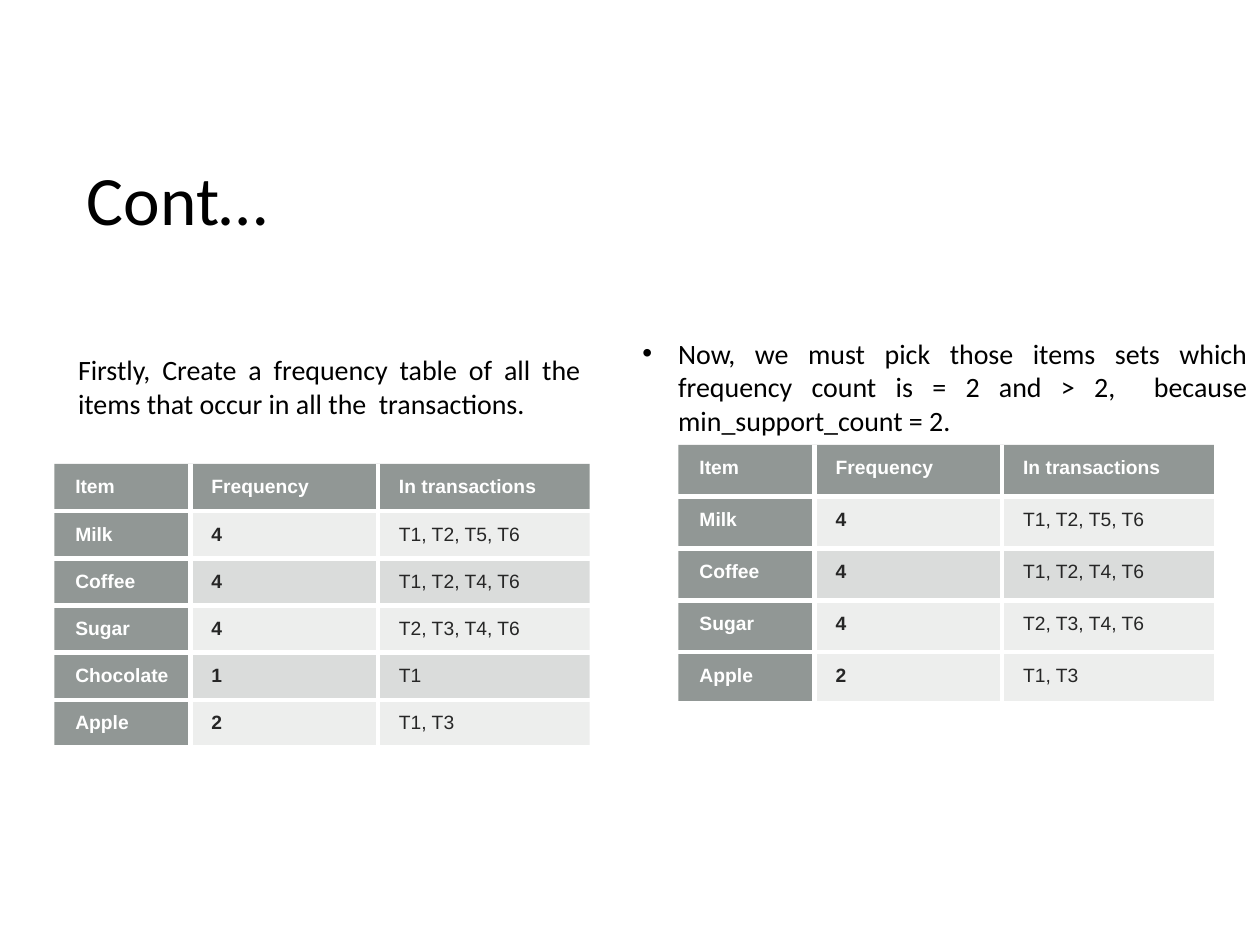
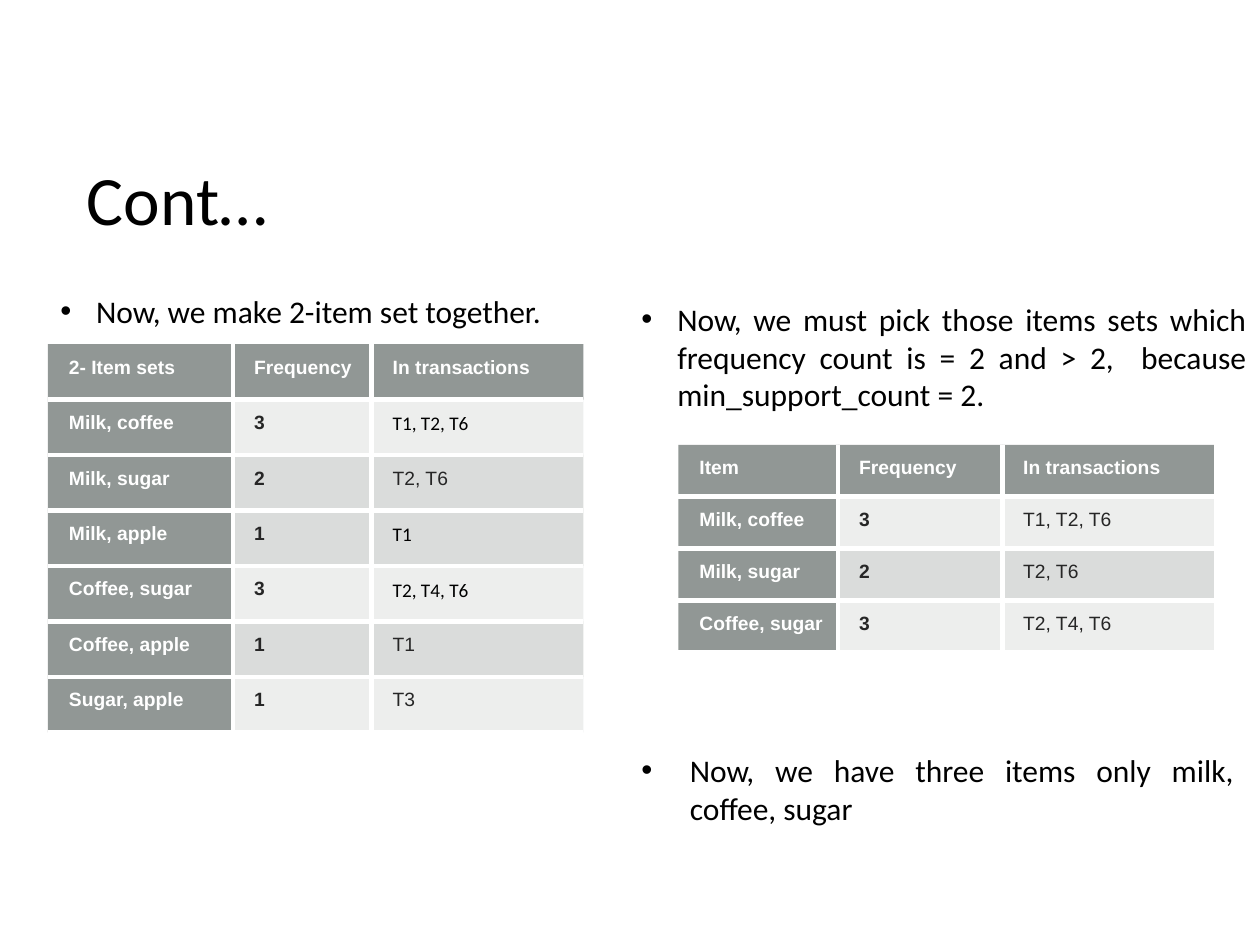
"""Build two slides on frequent item sets, with tables and notes."""
import dataclasses

import lxml.etree
import pptx
import pptx.dml.color
import pptx.enum.text
import pptx.oxml.ns
import pptx.slide
import pptx.table
import pptx.text.text
import pptx.util

Pt = pptx.util.Pt
qn = pptx.oxml.ns.qn
ANCHOR = pptx.enum.text.MSO_ANCHOR
ALIGN = pptx.enum.text.PP_ALIGN
SIZING = pptx.enum.text.MSO_AUTO_SIZE

BLACK, WHITE, INK = "000000", "FFFFFF", "262626"
HEAD, BAND = "636B68", "878E8B"
SANS, BODY = "Arial", "Calibri"
PICK = ("Now, we must pick those items sets which frequency count is "
        "= 2 and > 2,  because min_support_count = 2.")


@dataclasses.dataclass
class Row:
    name: str
    count: str
    where: str
    dark: bool = False
    plain: bool = False


@dataclasses.dataclass
class Grid:
    left: float
    top: float
    widths: tuple[float, ...]
    height: float
    title: str
    rows: list[Row]


@dataclasses.dataclass
class Note:
    left: float
    top: float
    width: float
    height: float
    text: str
    size: float = 18
    indent: float = 20.5


def color(code: str) -> pptx.dml.color.RGBColor:
    return pptx.dml.color.RGBColor.from_string(code)


def style(para: pptx.text.text._Paragraph, size: float, font: str = BODY,
          ink: str = BLACK, bold: bool = False) -> None:
    para.font.size = Pt(size)
    para.font.name = font
    para.font.bold = bold
    para.font.color.rgb = color(ink)


def place(shape, left: float, top: float, width: float, height: float) -> None:
    shape.left, shape.top = Pt(left), Pt(top)
    shape.width, shape.height = Pt(width), Pt(height)


def pad(frame, left: float, top: float, right: float, low: float) -> None:
    frame.margin_left, frame.margin_top = Pt(left), Pt(top)
    frame.margin_right, frame.margin_bottom = Pt(right), Pt(low)


def bullet(para: pptx.text.text._Paragraph, mark: str, indent: float) -> None:
    props = para._p.get_or_add_pPr()
    props.set("marL", str(Pt(indent)))
    props.set("indent", str(-Pt(indent)))
    if mark:
        lxml.etree.SubElement(props, qn("a:buFont")).set("typeface", SANS)
        lxml.etree.SubElement(props, qn("a:buChar")).set("char", mark)
    else:
        lxml.etree.SubElement(props, qn("a:buNone"))


def add_title(slide: pptx.slide.Slide, text: str) -> None:
    shape = slide.shapes.title
    place(shape, 49.6, 89.3, 620.6, 36)
    frame = shape.text_frame
    frame.text = text
    frame.auto_size = SIZING.NONE
    frame.vertical_anchor = ANCHOR.TOP
    pad(frame, 0, 0, 0, 0)
    para = frame.paragraphs[0]
    para.alignment = ALIGN.LEFT
    para.space_before = Pt(1)
    style(para, 39.6)


def add_body(slide: pptx.slide.Slide, text: str) -> None:
    shape = slide.placeholders[1]
    place(shape, 44.6, 102.2, 287.3, 307.4)
    frame = shape.text_frame
    frame.text = text
    frame.auto_size = SIZING.NONE
    frame.vertical_anchor = ANCHOR.MIDDLE
    pad(frame, 0, 0, 0, 70)
    para = frame.paragraphs[0]
    para.alignment = ALIGN.JUSTIFY
    para.space_before = Pt(0.8)
    bullet(para, "", 0)
    style(para, 16)


def add_note(slide: pptx.slide.Slide, note: Note) -> None:
    box = slide.shapes.add_textbox(
        Pt(note.left), Pt(note.top), Pt(note.width), Pt(note.height))
    frame = box.text_frame
    frame.text = note.text
    frame.word_wrap = True
    frame.auto_size = SIZING.SHAPE_TO_FIT_TEXT
    para = frame.paragraphs[0]
    para.alignment = ALIGN.JUSTIFY
    para.space_before = Pt(0.8)
    bullet(para, "•", note.indent)
    style(para, note.size)


def add_edge(cell: pptx.table._Cell, side: str, shown: bool) -> None:
    props = cell._tc.get_or_add_tcPr()
    line = lxml.etree.SubElement(props, qn(f"a:ln{side}"), w=str(Pt(3)))
    if shown:
        fill = lxml.etree.SubElement(line, qn("a:solidFill"))
        lxml.etree.SubElement(fill, qn("a:srgbClr"), val=WHITE)
    else:
        lxml.etree.SubElement(line, qn("a:noFill"))


def tint(cell: pptx.table._Cell, code: str, alpha: int) -> None:
    cell.fill.solid()
    cell.fill.fore_color.rgb = color(code)
    tone = cell._tc.tcPr.find(f"{qn('a:solidFill')}/{qn('a:srgbClr')}")
    lxml.etree.SubElement(tone, qn("a:alpha"), val=str(alpha * 1000))


def add_grid(slide: pptx.slide.Slide, grid: Grid) -> None:
    rows = [Row(grid.title, "Frequency", "In transactions"), *grid.rows]
    table = slide.shapes.add_table(
        len(rows), len(grid.widths), Pt(grid.left), Pt(grid.top),
        Pt(sum(grid.widths)), Pt(grid.height * len(rows))).table
    table.first_row = table.horz_banding = False
    for col, width in zip(table.columns, grid.widths):
        col.width = Pt(width)
    last = len(grid.widths) - 1
    for y, row in enumerate(rows):
        table.rows[y].height = Pt(grid.height)
        for x, text in enumerate((row.name, row.count, row.where)):
            cell = table.cell(y, x)
            cell.text = text
            pad(cell, 12, 7.2, 7.2, 7.2)
            for side, shown in zip("LRTB", (x > 0, x < last, y > 0, True)):
                add_edge(cell, side, shown)
            para = cell.text_frame.paragraphs[0]
            if y == 0 or x == 0:
                tint(cell, HEAD, 70)
                style(para, 11, SANS, WHITE, True)
            else:
                tint(cell, BAND, 30 if row.dark else 15)
                plain = row.plain and x == last
                style(para, 11, BODY if plain else SANS,
                      BLACK if plain else INK, x < last)


def main() -> None:
    deck = pptx.Presentation()
    deck.slide_width, deck.slide_height = Pt(720), Pt(540)

    milk = Row("Milk", "4", "T1, T2, T5, T6")
    coffee = Row("Coffee", "4", "T1, T2, T4, T6", dark=True)
    sugar = Row("Sugar", "4", "T2, T3, T4, T6")
    choc = Row("Chocolate", "1", "T1", dark=True)
    apple = Row("Apple", "2", "T1, T3")
    widths = (77.8, 107.2, 121)

    single = deck.slides.add_slide(deck.slide_layouts[1])
    add_title(single, "Cont…")
    add_body(single, "Firstly, Create a frequency table of all the items "
                     "that occur in all the  transactions.")
    add_grid(single, Grid(31, 265, widths, 27, "Item",
                          [milk, coffee, sugar, choc, apple]))
    add_grid(single, Grid(387.7, 254.2, widths, 29.6, "Item",
                          [milk, coffee, sugar, apple]))
    add_note(single, Note(360, 188.6, 360, 65.5, PICK, 16))

    pairs = [
        Row("Milk, coffee", "3", "T1, T2, T6", plain=True),
        Row("Milk, sugar", "2", "T2, T6", dark=True),
        Row("Milk, apple", "1", "T1", dark=True, plain=True),
        Row("Coffee, sugar", "3", "T2, T4, T6", plain=True),
        Row("Coffee, apple", "1", "T1", dark=True),
        Row("Sugar, apple", "1", "T3"),
    ]
    kept = [dataclasses.replace(pair, plain=False)
            for pair in pairs if int(pair.count) >= 2]

    double = deck.slides.add_slide(deck.slide_layouts[5])
    add_title(double, "Cont…")
    add_grid(double, Grid(27.4, 196.6, (105.8, 79.2, 121), 31.7,
                          "2- Item sets", pairs))
    add_grid(double, Grid(387.7, 254.2, (91.2, 93.8, 121), 29.6,
                          "Item", kept))
    for note in (
        Note(359.5, 167.8, 360, 72.7, PICK),
        Note(27.4, 163.4, 360, 28.8, "Now, we make 2-item set together."),
        Note(359.5, 425.5, 352.8, 51.1,
             "Now, we have three items only milk, coffee, sugar", indent=27.7),
    ):
        add_note(double, note)

    deck.save("out.pptx")


if __name__ == "__main__":
    main()
